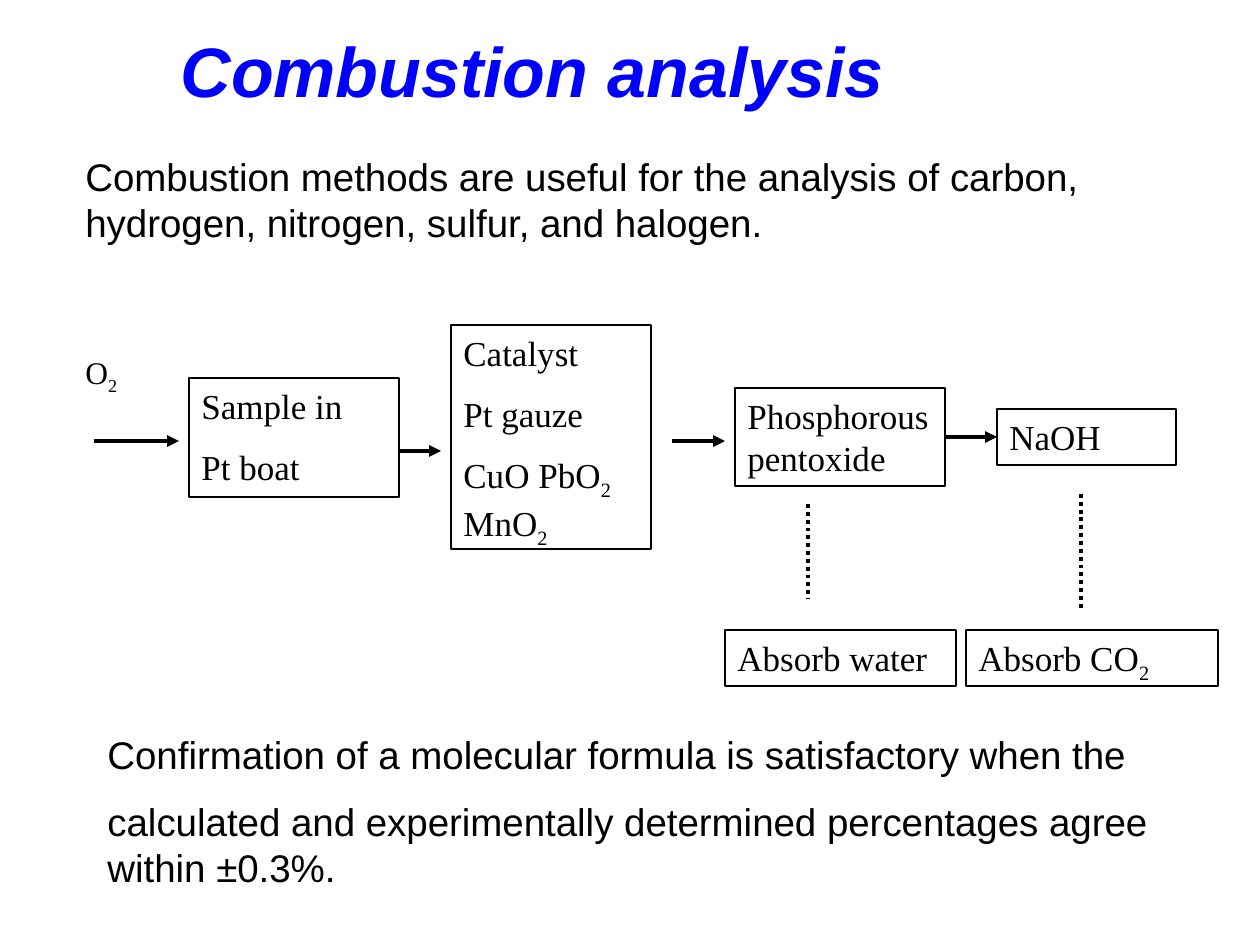
"""Build the combustion analysis slide with its flow of absorbers."""
from lxml import etree
from pptx import Presentation
from pptx.dml.color import RGBColor
from pptx.enum.dml import MSO_LINE
from pptx.enum.shapes import MSO_CONNECTOR, MSO_SHAPE
from pptx.enum.text import MSO_ANCHOR, MSO_AUTO_SIZE, PP_ALIGN
from pptx.oxml.ns import qn
from pptx.util import Emu, Pt

RECT = MSO_SHAPE.RECTANGLE
LINE = MSO_CONNECTOR.STRAIGHT
DOT = MSO_LINE.ROUND_DOT
TOP = MSO_ANCHOR.TOP
LEFT = PP_ALIGN.LEFT
FIXED = MSO_AUTO_SIZE.NONE
HUES = {"ink": "000000", "title": "0000FF"}
SCALE = 914400 / 126


def px(*nums):
    return [Emu(round(num * SCALE)) for num in nums]


def write(shape, rows, face, size, hue="ink", **extra):
    frame = shape.text_frame
    for key, val in {"word_wrap": True, "auto_size": FIXED, "vertical_anchor": TOP}.items():
        setattr(frame, key, val)
    style = {"name": face, "size": Pt(size), **extra}
    for num, row in enumerate(rows):
        para = frame.add_paragraph() if num else frame.paragraphs[0]
        para.alignment = LEFT
        para.space_before = Pt(round(size * 0.55) if num else 0)
        for part, text in enumerate(row.split("|")):
            if not text:
                continue
            run = para.add_run()
            run.text = text
            for key, val in style.items():
                setattr(run.font, key, val)
            run.font.color.rgb = RGBColor.from_string(HUES[hue])
            if part % 2:
                run.font._element.set("baseline", "-25000")


deck = Presentation()
deck.slide_width, deck.slide_height = px(1260, 945)
slide = deck.slides.add_slide(deck.slide_layouts[5])
shapes = slide.shapes

title = shapes.title
title.left, title.top, title.width, title.height = px(168, 21, 892, 97)
write(title, ["Combustion analysis"], "Arial", 40, "title", bold=True, italic=True)

notes = [
    ((73, 147, 1061, 106), "Arial", 22,
     ["Combustion methods are useful for the analysis of carbon, "
      "hydrogen, nitrogen, sulfur, and halogen."]),
    ((73, 347, 95, 63), "Times New Roman", 18, ["O|2|"]),
    ((95, 725, 1102, 176), "Arial", 22,
     ["Confirmation of a molecular formula is satisfactory when the",
      "calculated and experimentally determined percentages agree within ±0.3%."]),
]
for spot, face, size, rows in notes:
    write(shapes.add_textbox(*px(*spot)), rows, face, size)

steps = {
    "sample": ((189, 378, 210, 119), ["Sample in", "Pt boat"]),
    "metal": ((451, 325, 200, 224), ["Catalyst", "Pt gauze", "CuO PbO|2| MnO|2|"]),
    "dryer": ((735, 388, 210, 98), ["Phosphorous pentoxide"]),
    "base": ((997, 409, 179, 56), ["NaOH"]),
    "water": ((725, 630, 231, 56), ["Absorb water"]),
    "carbon": ((966, 630, 252, 56), ["Absorb CO|2|"]),
}
boxes = {}
for name, (spot, rows) in steps.items():
    box = boxes[name] = shapes.add_shape(RECT, *px(*spot))
    box.shadow.inherit = False
    box.fill.background()
    box.line.color.rgb = RGBColor.from_string(HUES["ink"])
    box.line.width = Pt(0.75)
    write(box, rows, "Times New Roman", 20)

links = [
    (94, 441, 179, 441, None),
    (399, 451, 441, 451, None),
    (672, 441, 725, 441, None),
    (945, 437, 997, 437, ("dryer", "base")),
    (808, 504, 808, 599, None),
    (1081, 494, 1081, 609, None),
]
for left, top, right, low, ends in links:
    link = shapes.add_connector(LINE, *px(left, top, right, low))
    link.line.color.rgb = RGBColor.from_string(HUES["ink"])
    link.line.width = Pt(2.25)
    if ends:
        link.begin_connect(boxes[ends[0]], 3)
        link.end_connect(boxes[ends[1]], 1)
    if left == right:
        link.line.dash_style = DOT
    else:
        etree.SubElement(link.line._get_or_add_ln(), qn("a:tailEnd"), type="triangle")
    etree.SubElement(link._element.spPr, qn("a:effectLst"))

deck.save("out.pptx")
